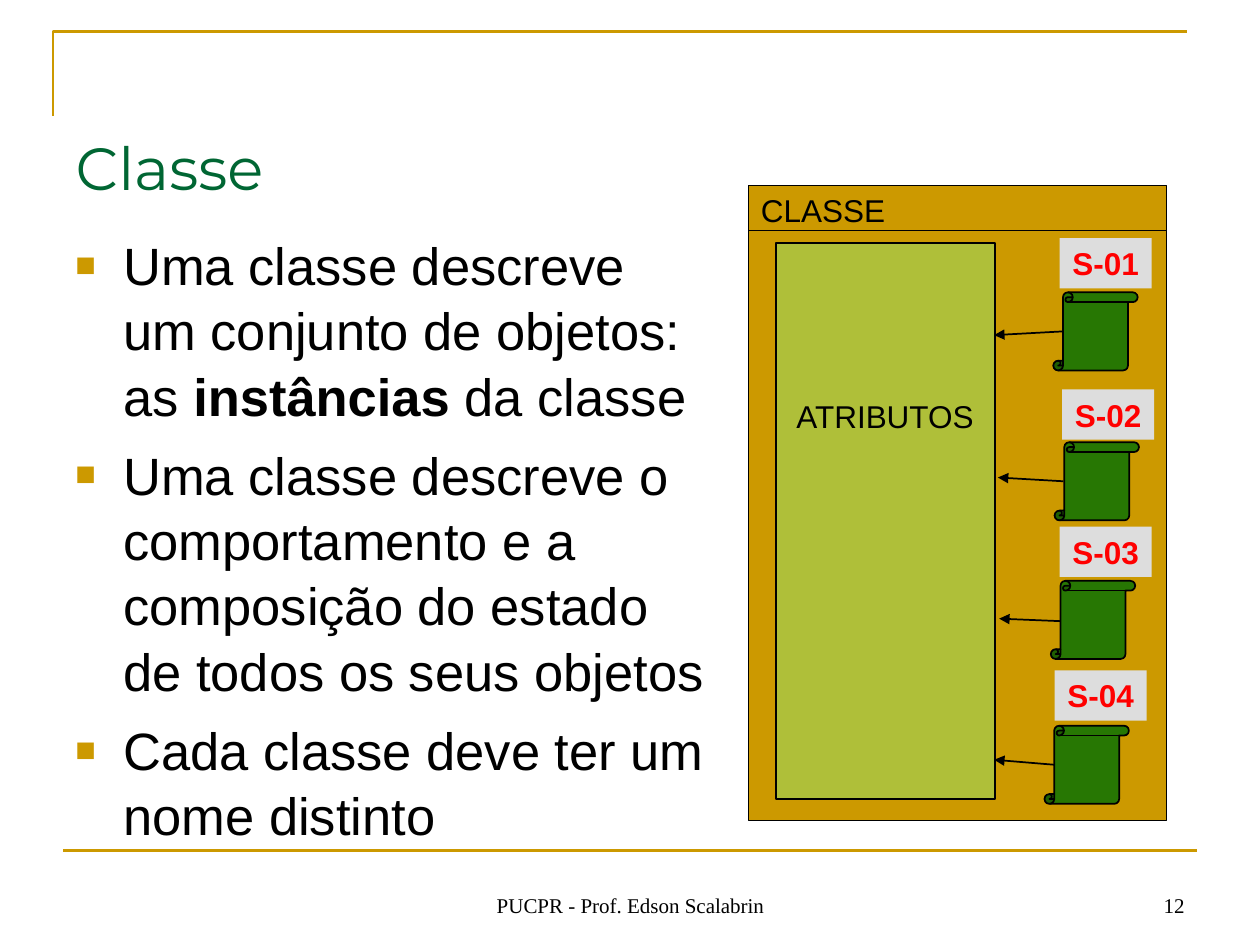
import pptx
import pptx.util
import pptx.dml.color
import pptx.enum.shapes
import pptx.enum.text
import pptx.oxml
import pptx.oxml.ns

Pt = pptx.util.Pt
Kind = pptx.enum.shapes.MSO_SHAPE
Side = pptx.enum.text.PP_ALIGN
Hold = pptx.enum.text.MSO_ANCHOR
GOLD, GREEN, BLACK = "CC9900", "277703", "000000"

deck = pptx.Presentation()
deck.slide_width = pptx.util.Inches(10)
deck.slide_height = pptx.util.Inches(7.5)
cell = deck.slide_width / 10  # square grid: 10 columns by 7.5 rows
slide = deck.slides.add_slide(deck.slide_layouts[5])
shapes = slide.shapes


def grid(*spots):
    return [round(spot * cell) for spot in spots]


def paint(part, tone):
    if hasattr(part, "solid"):
        part.solid()
        part = part.fore_color
    else:
        part = part.color
    part.rgb = pptx.dml.color.RGBColor.from_string(tone)


# Frame lines
pen = shapes.build_freeform(*grid(0.42, 0.92), scale=1.0)
pen.add_line_segments([grid(0.42, 0.25), grid(9.42, 0.25)], close=False)
frame = pen.convert_to_shape()
frame.shadow.inherit = False
frame.fill.background()
rule = shapes.add_connector(1, *grid(0.5, 6.75, 9.5, 6.75))
for edge in (frame, rule):
    paint(edge.line, GOLD)
    edge.line.width = Pt(1.5)

# Title
title = shapes.title
title.left, title.top, title.width, title.height = grid(0.5, 0.99, 9, 0.56)

# Bulleted text
body = shapes.add_textbox(*grid(0.5, 1.78, 5.21, 4.92))
body.text_frame.word_wrap = True
points = [
    [("Uma classe descreve um conjunto de objetos: as ", False),
     ("instâncias", True), (" da classe", False)],
    [("Uma classe descreve o comportamento e a composição do estado "
      "de todos os seus objetos", False)],
    [("Cada classe deve ter um nome distinto", False)],
]
space = pptx.oxml.ns.nsdecls("a")
marks = (
    f'<a:buClr {space}><a:srgbClr val="{GOLD}"/></a:buClr>',
    f'<a:buSzPct {space} val="65000"/>',
    f'<a:buFont {space} typeface="Arial"/>',
    f'<a:buChar {space} char="■"/>',
)
indent = grid(0.38)[0]
for rank, point in enumerate(points):
    para = body.text_frame.add_paragraph() if rank else body.text_frame.paragraphs[0]
    para.line_spacing = 1.04
    para.space_before = Pt(7.5 if rank else 0)
    props = para._p.get_or_add_pPr()
    props.set("marL", str(indent))
    props.set("indent", str(-indent))
    for mark in marks:
        props.append(pptx.oxml.parse_xml(mark))
    for words, bold in point:
        run = para.add_run()
        run.text = words
        run.font.size, run.font.name, run.font.bold = Pt(30), "Arial", bold
        paint(run.font, BLACK)

# Class panel, attribute panel and header
panels = []
for spot, tone, width in (
    ((5.94, 1.83, 3.32, 4.68), GOLD, 0.75),
    ((6.16, 1.93, 1.74, 4.41), "AFBF39", 1),
    ((5.94, 1.47, 3.32, 0.36), GOLD, 0.75),
):
    panel = shapes.add_shape(Kind.RECTANGLE, *grid(*spot))
    panel.shadow.inherit = False
    paint(panel.fill, tone)
    paint(panel.line, BLACK)
    panel.line.width = Pt(width)
    panels.append(panel)

# Instances: scroll, arrow to the attributes, name tag
wires, tags = [rule], []
for rank, (scroll, arrow, tag) in enumerate((
    ((8.36, 2.32), (8.44, 2.63, 7.89, 2.66), (8.41, 1.89)),
    ((8.37, 3.51), (8.44, 3.82, 7.92, 3.79), (8.43, 3.09)),
    ((8.34, 4.61), (8.42, 4.93, 7.93, 4.91), (8.41, 4.18)),
    ((8.29, 5.76), (8.37, 6.07, 7.89, 6.03), (8.37, 5.32)),
), 1):
    sheet = shapes.add_shape(Kind.VERTICAL_SCROLL, *grid(*scroll, 0.67, 0.62))
    sheet.shadow.inherit = False
    paint(sheet.fill, GREEN)
    paint(sheet.line, BLACK)
    sheet.line.width = Pt(1)

    wire = shapes.add_connector(1, *grid(*arrow))
    paint(wire.line, BLACK)
    wire.line.width = Pt(1)
    wire.line._get_or_add_ln().append(
        pptx.oxml.parse_xml(f'<a:tailEnd {space} type="triangle"/>'))
    wires.append(wire)

    label = shapes.add_shape(Kind.RECTANGLE, *grid(*tag, 0.73, 0.4))
    label.shadow.inherit = False
    paint(label.fill, "DDDDDD")
    label.line.fill.background()
    tags.append((label, f"S-{rank:02}", Side.CENTER, Hold.TOP, "Arial", 18, "FF0000", True))

for wire in wires:
    wire._element.spPr.append(pptx.oxml.parse_xml(f"<a:effectLst {space}/>"))

# Single-line texts
notes = [shapes.add_textbox(*grid(*spot)) for spot in (
    (6.21, 3.1, 1.63, 0.4), (3.42, 6.83, 3.17, 0.5), (7.17, 6.83, 2.33, 0.5))]
serif = "Times New Roman"
for box, words, side, hold, face, size, tone, bold in tags + [
    (title, "Classe", Side.LEFT, Hold.TOP, "Montserrat", 34, "006633", False),
    (panels[2], "CLASSE", Side.LEFT, Hold.TOP, "Arial", 18, BLACK, False),
    (notes[0], "ATRIBUTOS", Side.CENTER, Hold.TOP, "Arial", 18, BLACK, False),
    (notes[1], "PUCPR - Prof. Edson Scalabrin", Side.CENTER, Hold.BOTTOM, serif, 12, BLACK, False),
    (notes[2], "12", Side.RIGHT, Hold.BOTTOM, serif, 12, BLACK, False),
]:
    text = box.text_frame
    text.word_wrap = size != 18 or side == Side.LEFT
    text.vertical_anchor = hold
    para = text.paragraphs[0]
    para.alignment = side
    run = para.add_run()
    run.text = words
    run.font.size, run.font.name, run.font.bold = Pt(size), face, bold
    paint(run.font, tone)

deck.save("out.pptx")
